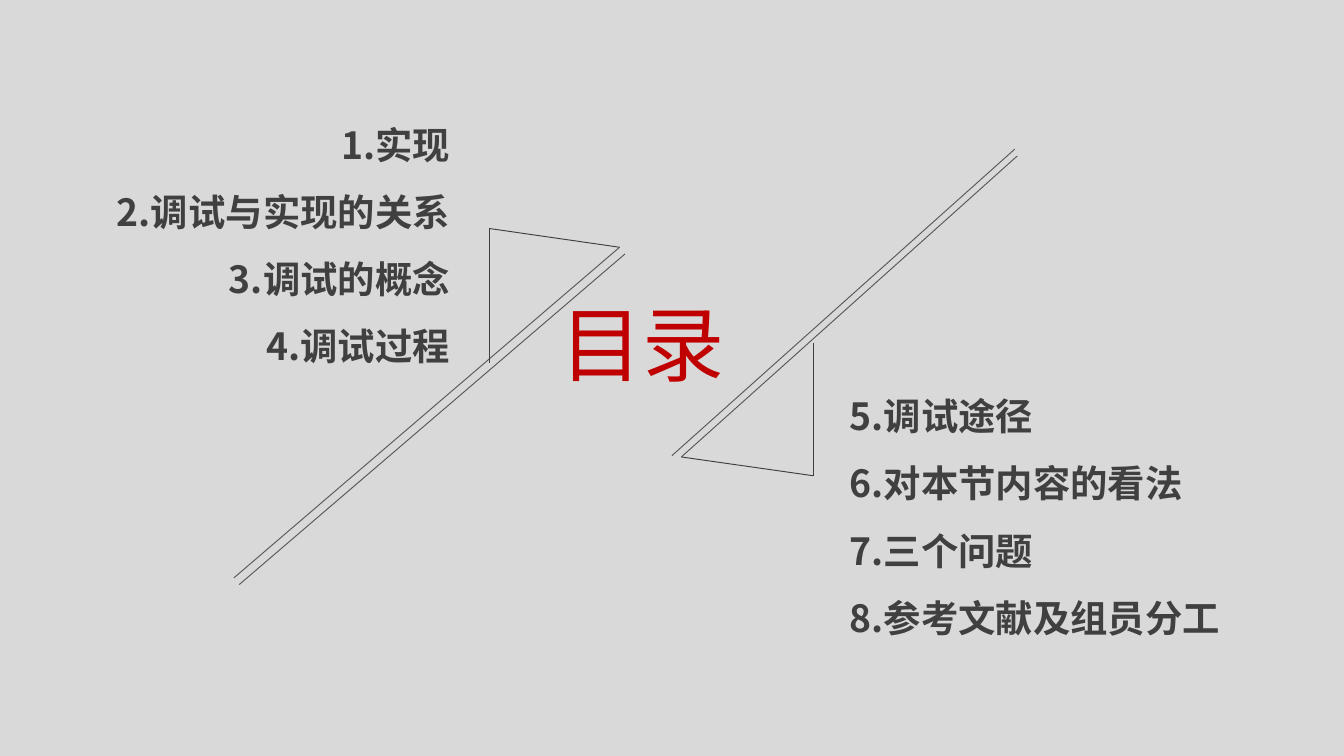
import pptx
import pptx.dml.color
import pptx.enum.shapes
import pptx.enum.text
import pptx.oxml.ns
import pptx.util
from lxml import etree

Inches = pptx.util.Inches
Pt = pptx.util.Pt
RGBColor = pptx.dml.color.RGBColor
qn = pptx.oxml.ns.qn
Align = pptx.enum.text.PP_ALIGN

FONT = "Noto Sans CJK SC"
COLORS = {"background": "D9D9D9", "title": "C00000", "text": "404040", "diagonal": "595959"}


def fill_placeholder(placeholder, box, lines, size, color, bold, alignment, spacing):
    placeholder.left, placeholder.top, placeholder.width, placeholder.height = map(Inches, box)
    frame = placeholder.text_frame
    frame.text = "\n".join(lines)
    frame.word_wrap = True
    frame.auto_size = pptx.enum.text.MSO_AUTO_SIZE.SHAPE_TO_FIT_TEXT
    frame.vertical_anchor = pptx.enum.text.MSO_ANCHOR.TOP
    for paragraph in frame.paragraphs:
        paragraph.alignment = alignment
        paragraph.line_spacing = spacing
        paragraph.space_before = Pt(0)
        properties = paragraph._p.get_or_add_pPr()
        properties.set("marL", "0")
        properties.set("indent", "0")
        etree.SubElement(properties, qn("a:buNone"))
        paragraph.font.size = Pt(size)
        paragraph.font.bold = bold
        paragraph.font.color.rgb = RGBColor.from_string(COLORS[color])
        paragraph.font.name = FONT
        east_asian = etree.SubElement(properties.find(qn("a:defRPr")), qn("a:ea"))
        east_asian.set("typeface", FONT)


def add_line(start, end, color):
    connector = slide.shapes.add_connector(
        pptx.enum.shapes.MSO_CONNECTOR.STRAIGHT, *map(Inches, start + end))
    connector.line.width = Pt(0.5)
    connector.line.color.rgb = RGBColor.from_string(COLORS[color])
    etree.SubElement(connector._element.spPr, qn("a:effectLst"))


presentation = pptx.Presentation()
presentation.slide_width = Inches(10)
presentation.slide_height = Inches(10) * 9 // 16
slide = presentation.slides.add_slide(presentation.slide_layouts.get_by_name("Two Content"))
slide.background.fill.solid()
slide.background.fill.fore_color.rgb = RGBColor.from_string(COLORS["background"])

title, left_list, right_list = list(slide.placeholders)[:3]
fill_placeholder(title, (4.07, 2.13, 1.48, 0.84), ["目录"], 44, "title", False, Align.LEFT, 1)
fill_placeholder(left_list, (0.59, 0.69, 2.86, 2.1),
                 ["1.实现", "2.调试与实现的关系", "3.调试的概念", "4.调试过程"],
                 20, "text", True, Align.RIGHT, 1.5)
fill_placeholder(right_list, (6.22, 2.71, 3.21, 2.1),
                 ["5.调试途径", "6.对本节内容的看法", "7.三个问题", "8.参考文献及组员分工"],
                 20, "text", True, Align.LEFT, 1.5)

left_tip, left_corner = (4.61, 1.84), (3.64, 1.7)
right_tip, right_corner = (5.07, 3.4), (6.05, 3.54)

for start, end in [
    ((1.74, 4.3), left_tip),
    ((1.78, 4.35), (4.65, 1.89)),
    (right_tip, (7.57, 1.16)),
    ((5, 3.39), (7.55, 1.11)),
]:
    add_line(start, end, "diagonal")

for tip, corner, foot in [
    (left_tip, left_corner, (3.64, 2.7)),
    (right_tip, right_corner, (6.05, 2.55)),
]:
    add_line(tip, corner, "text")
    add_line(corner, foot, "text")

presentation.save("out.pptx")
